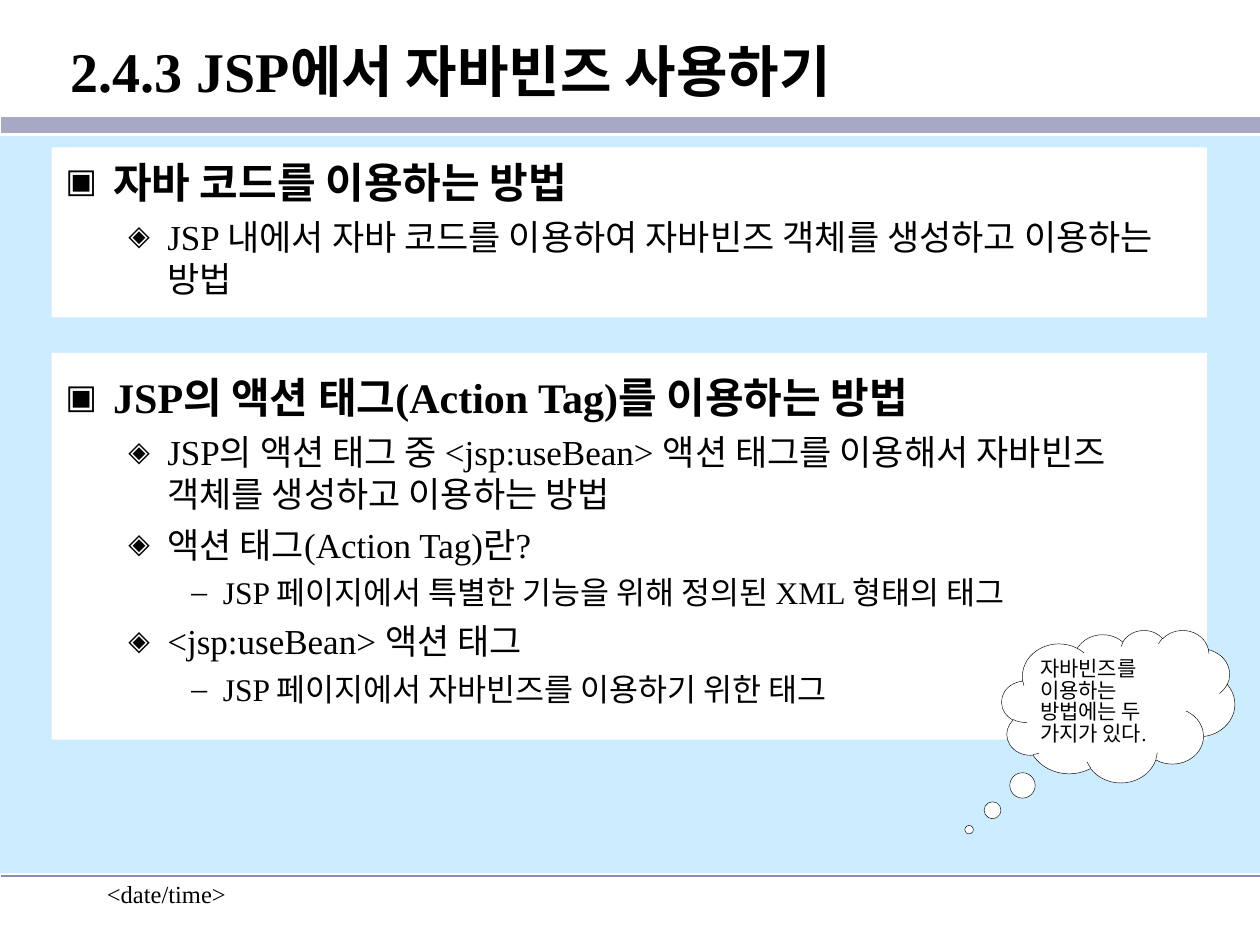
from lxml import etree
from pptx import Presentation
from pptx.dml.color import RGBColor
from pptx.enum.shapes import MSO_CONNECTOR, MSO_SHAPE
from pptx.enum.text import MSO_ANCHOR, PP_ALIGN
from pptx.oxml.ns import qn
from pptx.util import Inches, Pt

FONT = "Times New Roman"
LEVELS = [
    {"indent": 0.38, "hang": 0.38, "before": 6, "bullet": "▣", "scale": 80, "size": 24, "bold": True},
    {"indent": 0.81, "hang": 0.31, "before": 5, "bullet": "◈", "scale": 80, "size": 20, "bold": False},
    {"indent": 1.25, "hang": 0.25, "before": 4.5, "bullet": "–", "scale": 100, "size": 18, "bold": False},
]
JAVA_CODE = [
    (0, "자바 코드를 이용하는 방법"),
    (1, "JSP 내에서 자바 코드를 이용하여 자바빈즈 객체를 생성하고 이용하는 방법"),
]
ACTION_TAG = [
    (0, "JSP의 액션 태그(Action Tag)를 이용하는 방법"),
    (1, "JSP의 액션 태그 중 <jsp:useBean> 액션 태그를 이용해서 자바빈즈 객체를 생성하고 이용하는 방법"),
    (1, "액션 태그(Action Tag)란?"),
    (2, "JSP 페이지에서 특별한 기능을 위해 정의된 XML 형태의 태그"),
    (1, "<jsp:useBean> 액션 태그"),
    (2, "JSP 페이지에서 자바빈즈를 이용하기 위한 태그"),
]


def rgb(value):
    return RGBColor.from_string(value)


def style_text(p, size, bold=False):
    for r in p.runs:
        r.font.name = FONT
        r.font.size = Pt(size)
        r.font.bold = bold
        r.font.color.rgb = rgb("000000")


def add_panel(s, box, color, shape=MSO_SHAPE.RECTANGLE):
    sp = s.shapes.add_shape(shape, *map(Inches, box))
    sp.shadow.inherit = False
    sp.fill.solid()
    sp.fill.fore_color.rgb = rgb(color)
    sp.line.fill.background()
    return sp


def add_rule(s, y, color, width):
    line = s.shapes.add_connector(
        MSO_CONNECTOR.STRAIGHT, Inches(0.01), Inches(y), Inches(10), Inches(y))
    line.line.color.rgb = rgb(color)
    line.line.width = Pt(width)
    etree.SubElement(line._element.spPr, qn("a:effectLst"))


def add_label(s, box, text, size, bold=False, left=0.1, anchor=MSO_ANCHOR.TOP):
    tf = s.shapes.add_textbox(*map(Inches, box)).text_frame
    tf.word_wrap = True
    tf.margin_left = Inches(left)
    tf.vertical_anchor = anchor
    tf.text = text
    style_text(tf.paragraphs[0], size, bold)


def add_bullet(p, level):
    pPr = p._p.get_or_add_pPr()
    pPr.set("marL", str(Inches(level["indent"])))
    pPr.set("indent", str(-Inches(level["hang"])))
    color = etree.SubElement(pPr, qn("a:buClr"))
    etree.SubElement(color, qn("a:srgbClr"), val="000000")
    etree.SubElement(pPr, qn("a:buSzPct"), val=str(level["scale"] * 1000))
    etree.SubElement(pPr, qn("a:buFont"), typeface=FONT)
    etree.SubElement(pPr, qn("a:buChar"), char=level["bullet"])


def add_outline(s, box, items):
    tf = s.shapes.add_textbox(*map(Inches, box)).text_frame
    tf.word_wrap = True
    for i, (depth, text) in enumerate(items):
        level = LEVELS[depth]
        p = tf.add_paragraph() if i else tf.paragraphs[0]
        p.text = text
        p.level = depth
        add_bullet(p, level)
        if i:
            p.space_before = Pt(level["before"])
        style_text(p, level["size"], level["bold"])


def add_thought(s, box, text):
    sp = add_panel(s, box, "FFFFFF", MSO_SHAPE.CLOUD_CALLOUT)
    sp.adjustments[0] = -0.64
    sp.adjustments[1] = 0.81
    sp.line.color.rgb = rgb("000000")
    sp.line.width = Pt(0.25)
    tf = sp.text_frame
    tf.word_wrap = True
    tf.margin_left = Inches(0.05)
    tf.margin_right = 0
    tf.vertical_anchor = MSO_ANCHOR.MIDDLE
    tf.text = text
    p = tf.paragraphs[0]
    p.alignment = PP_ALIGN.LEFT
    p.line_spacing = 0.85
    style_text(p, 12)


def main():
    prs = Presentation()
    prs.slide_width = Inches(10)
    prs.slide_height = Inches(7.5)
    s = prs.slides.add_slide(prs.slide_layouts[6])
    add_label(s, (0.75, 6.93, 2.08, 0.5), "<date/time>", 14)
    add_rule(s, 0.99, "A8A8C4", 9.25)
    add_rule(s, 6.95, "8C8CB2", 1)
    add_panel(s, (0, 1.08, 10, 5.85), "CCECFF")
    add_label(s, (0.01, 0.11, 9.99, 0.9), "2.4.3 JSP에서 자바빈즈 사용하기",
              32, True, 0.55, MSO_ANCHOR.MIDDLE)
    for top, height, text_top, items in (
            (1.17, 1.35, 1.19, JAVA_CODE), (2.8, 3.07, 2.9, ACTION_TAG)):
        add_panel(s, (0.41, top, 9.17, height), "FFFFFF")
        add_outline(s, (0.42, text_top, 9.16, top + height - text_top), items)
    add_thought(s, (7.95, 5, 1.85, 1.21), "자바빈즈를 이용하는 방법에는 두 가지가 있다.")
    prs.save("out.pptx")


if __name__ == "__main__":
    main()
